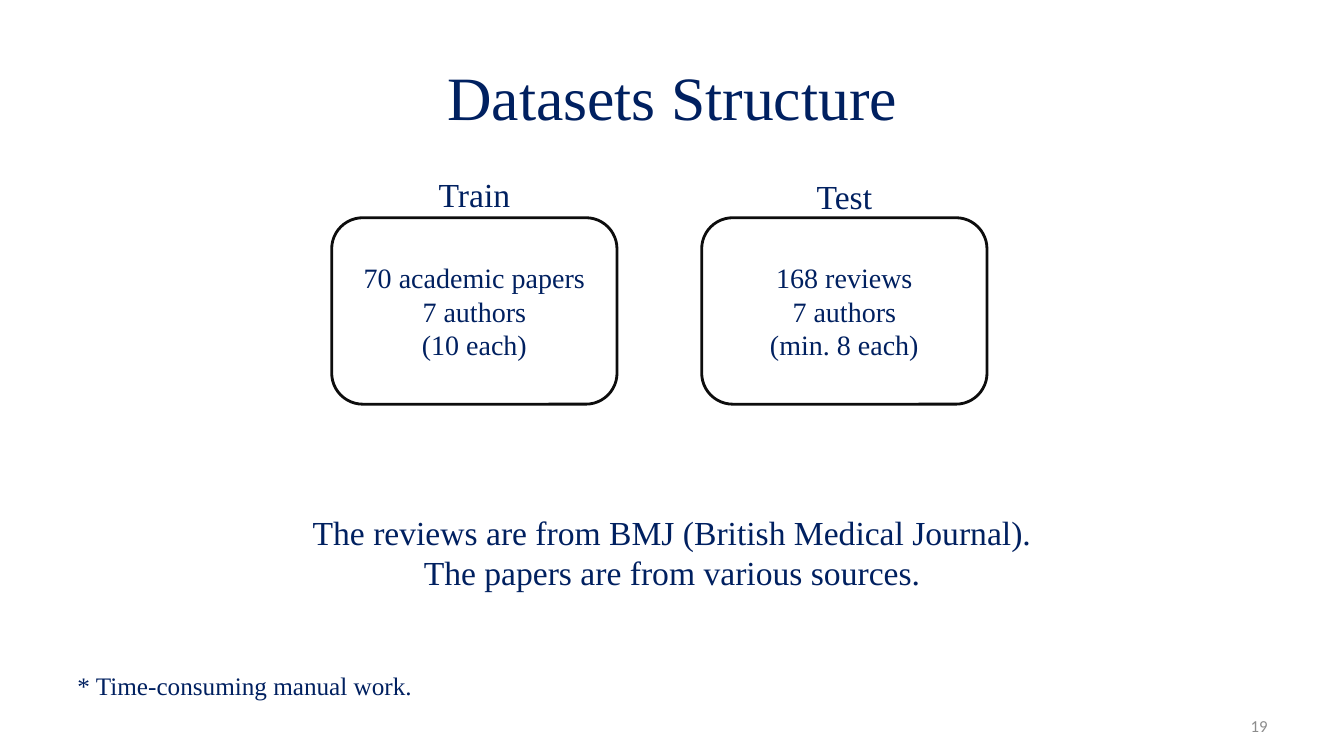
from dataclasses import dataclass

from pptx import Presentation
from pptx.dml.color import RGBColor
from pptx.enum.shapes import MSO_SHAPE
from pptx.enum.text import MSO_ANCHOR, PP_ALIGN
from pptx.util import Inches, Pt


@dataclass(frozen=True)
class Theme:
    serif: str = "Times New Roman"
    sans: str = "Calibri"
    navy: RGBColor = RGBColor(0x00, 0x20, 0x60)
    gray: RGBColor = RGBColor(0x8C, 0x8C, 0x8C)
    white: RGBColor = RGBColor(0xFF, 0xFF, 0xFF)
    outline: RGBColor = RGBColor(0x0D, 0x0D, 0x0D)
    title: int = 44
    body: int = 24
    card: int = 20
    footnote: int = 18
    number: int = 12


THEME = Theme()


def write(shape, lines, size, align=PP_ALIGN.CENTER, anchor=MSO_ANCHOR.MIDDLE,
          color=THEME.navy, font=THEME.serif):
    frame = shape.text_frame
    frame.word_wrap = True
    frame.vertical_anchor = anchor
    for index, line in enumerate(lines):
        para = frame.add_paragraph() if index else frame.paragraphs[0]
        para.alignment = align
        span = para.add_run()
        span.text = line
        span.font.size = Pt(size)
        span.font.name = font
        span.font.color.rgb = color


def add_title(page, left, top, width, height, text):
    title = page.shapes.title
    title.left, title.top = Inches(left), Inches(top)
    title.width, title.height = Inches(width), Inches(height)
    write(title, [text], THEME.title)


def add_text(page, left, top, width, height, lines, size, **style):
    box = page.shapes.add_textbox(
        Inches(left), Inches(top), Inches(width), Inches(height))
    write(box, lines, size, **style)


def add_dataset(page, left, top, width, height, label, label_top, lines):
    card = page.shapes.add_shape(
        MSO_SHAPE.ROUNDED_RECTANGLE,
        Inches(left), Inches(top), Inches(width), Inches(height))
    card.shadow.inherit = False
    card.fill.solid()
    card.fill.fore_color.rgb = THEME.white
    card.line.color.rgb = THEME.outline
    card.line.width = Pt(2)
    write(card, lines, THEME.card)
    add_text(page, left - 0.21, label_top, width + 0.42, 0.73, [label], THEME.body)


def build_datasets_page(deck):
    page = deck.slides.add_slide(deck.slide_layouts[5])
    add_title(page, 0.67, 0.33, 12, 1.25, "Datasets Structure")
    datasets = [
        ("Train", 1.56, ["70 academic papers", "7 authors", "(10 each)"]),
        ("Test", 1.58, ["168 reviews", "7 authors", "(min. 8 each)"]),
    ]
    for index, (label, label_top, lines) in enumerate(datasets):
        add_dataset(page, 3.29 + index * 3.67, 2.16, 2.83, 1.85,
                    label, label_top, lines)
    add_text(page, 2.89, 5.03, 7.55, 0.91,
             ["The reviews are from BMJ (British Medical Journal).",
              "The papers are from various sources."],
             THEME.body, anchor=MSO_ANCHOR.TOP)
    add_text(page, 0.67, 6.6, 7.55, 0.4, ["* Time-consuming manual work."],
             THEME.footnote, align=PP_ALIGN.LEFT, anchor=MSO_ANCHOR.TOP)
    add_text(page, 9.56, 7, 3.11, 0.4, ["19"], THEME.number,
             align=PP_ALIGN.RIGHT, color=THEME.gray, font=THEME.sans)


def main():
    deck = Presentation()
    deck.slide_width, deck.slide_height = Inches(13.33), Inches(7.5)
    build_datasets_page(deck)
    deck.save("out.pptx")


if __name__ == "__main__":
    main()
